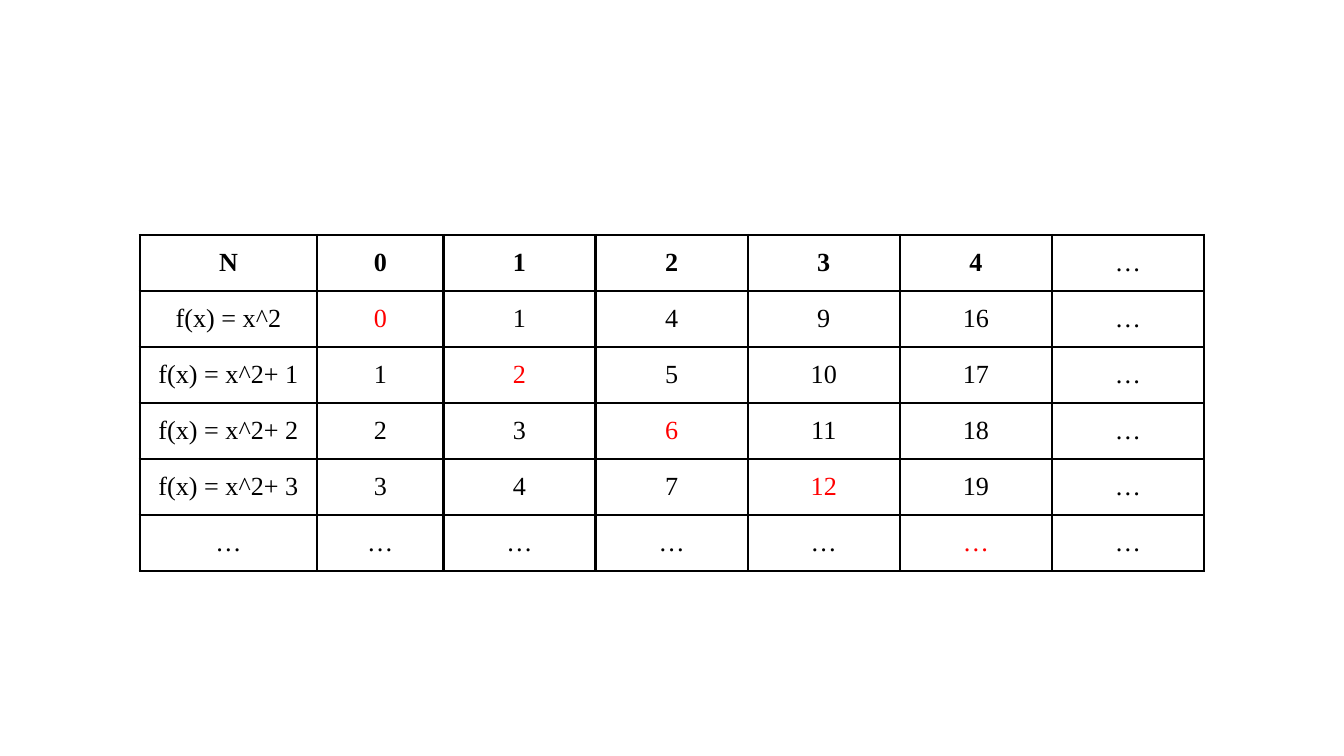
from lxml.etree import SubElement
from pptx import Presentation
from pptx.dml.color import RGBColor
from pptx.enum.text import PP_ALIGN as Align
from pptx.oxml.ns import qn
from pptx.util import Inches, Pt

BLACK = RGBColor(0x00, 0x00, 0x00)
RED = RGBColor(0xFF, 0x00, 0x00)
DOTS = "…"
NUMBERS = range(5)
OFFSETS = range(4)


class Deck:
    font = "Times New Roman"
    size = Pt(14)
    border = Pt(1.5)
    margin = Inches(0.1)
    grid_cols = 100
    grid_rows = 13.5

    def __init__(self, width):
        self.prs = Presentation()
        self.prs.slide_width = Inches(width)
        self.prs.slide_height = Inches(width * 9 / 16)
        self.s = self.prs.slides.add_slide(self.prs.slide_layouts[6])

    def x(self, cols):
        return round(cols * self.prs.slide_width / self.grid_cols)

    def y(self, rows):
        return round(rows * self.prs.slide_height / self.grid_rows)

    def table(self, rows, left, top, col_widths):
        frame = self.s.shapes.add_table(
            len(rows), len(col_widths), self.x(left), self.y(top),
            self.x(sum(col_widths)), self.y(len(rows)))
        tbl = frame.table
        tbl.first_row = tbl.horz_banding = False
        for col, width in zip(tbl.columns, col_widths):
            col.width = self.x(width)
        for row in tbl.rows:
            row.height = self.y(1)
        for i, values in enumerate(rows):
            for j, text in enumerate(values):
                bold = i == 0 and text != DOTS
                color = RED if i > 0 and i == j else BLACK
                self.cell(tbl.cell(i, j), text, bold, color)

    def cell(self, cell, text, bold, color):
        cell.margin_left = cell.margin_right = self.margin
        cell.margin_top = cell.margin_bottom = self.margin
        self.borders(cell)
        cell.fill.background()
        p = cell.text_frame.paragraphs[0]
        p.alignment = Align.CENTER
        r = p.add_run()
        r.text = text
        r.font.name = self.font
        r.font.size = self.size
        r.font.bold = bold
        r.font.color.rgb = color

    def borders(self, cell):
        tc_pr = cell._tc.get_or_add_tcPr()
        for side in ("lnL", "lnR", "lnT", "lnB"):
            ln = SubElement(tc_pr, qn(f"a:{side}"), w=str(self.border))
            fill = SubElement(ln, qn("a:solidFill"))
            SubElement(fill, qn("a:srgbClr"), val=str(BLACK))

    def save(self):
        self.prs.save("out.pptx")


def function_rows():
    rows = [["N", *map(str, NUMBERS), DOTS]]
    for k in OFFSETS:
        label = f"f(x) = x^2+ {k}" if k else "f(x) = x^2"
        rows.append([label, *(str(n ** 2 + k) for n in NUMBERS), DOTS])
    rows.append([DOTS] * len(rows[0]))
    return rows


def main():
    deck = Deck(10)
    deck.table(function_rows(), left=10.4, top=4.2,
               col_widths=[13.2, 9.4] + [11.32] * 5)
    deck.save()


if __name__ == "__main__":
    main()
